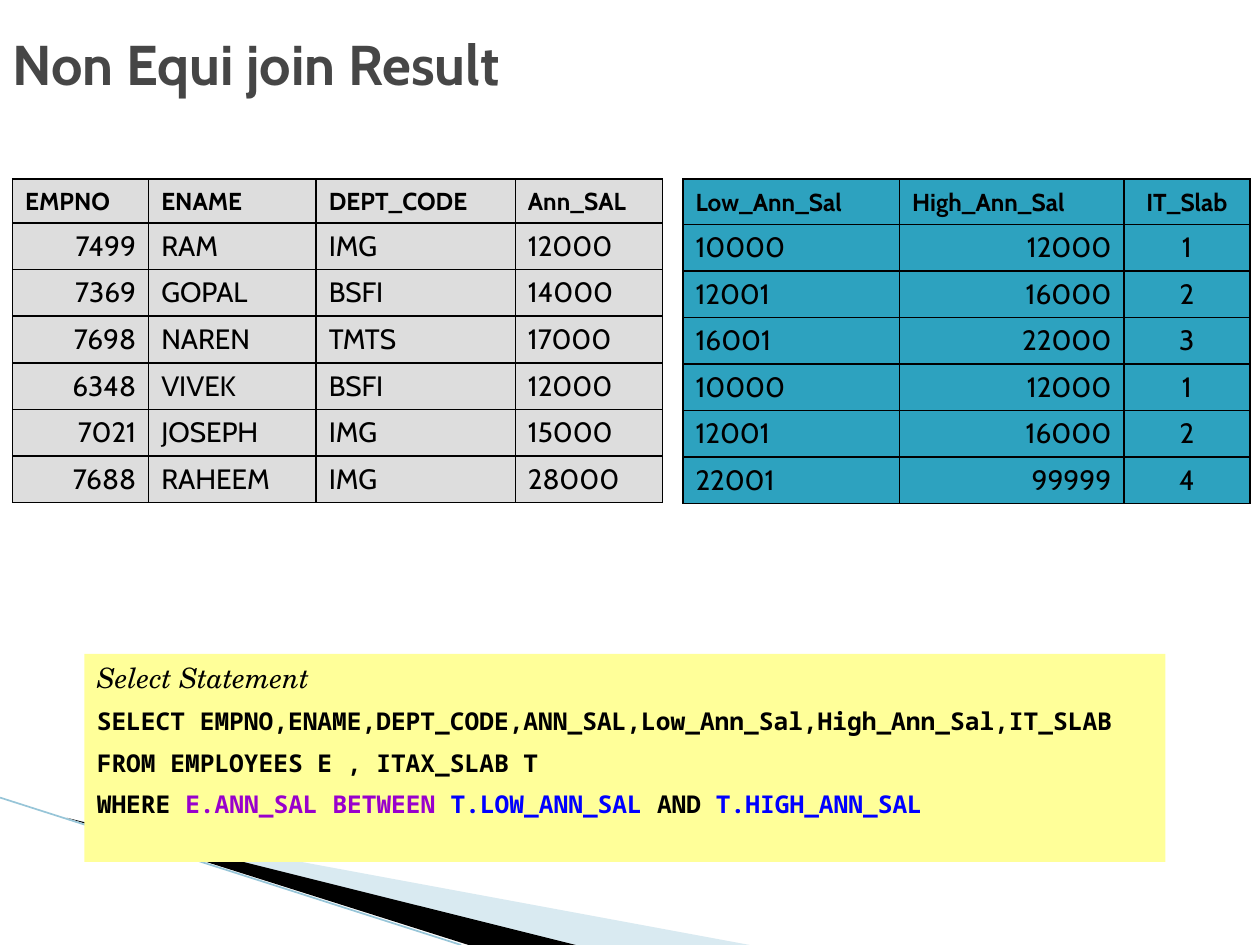
from dataclasses import dataclass

from lxml.etree import SubElement
from pptx import Presentation
from pptx.dml.color import RGBColor as Color
from pptx.enum.shapes import MSO_CONNECTOR as Connector
from pptx.enum.shapes import MSO_SHAPE as Shape
from pptx.enum.text import MSO_ANCHOR as Anchor
from pptx.enum.text import PP_ALIGN as Align
from pptx.oxml.ns import qn
from pptx.util import Inches, Pt


@dataclass(frozen=True)
class Theme:
    heading_font: str = "Cabin"
    code_font: str = "Noto Sans Mono"
    label_font: str = "TeX Gyre Schola"
    title_size: int = 32
    body_size: int = 16
    small_size: int = 14
    title: str = "464646"
    ink: str = "000000"
    employee_fill: str = "DDDDDD"
    slab_fill: str = "2DA2BF"
    code_fill: str = "FFFF99"
    employee_code: str = "9900CC"
    slab_code: str = "0000FF"
    pale_wedge: str = "A0CBDC"
    edge: str = "97C5D8"


THEME = Theme()


@dataclass(frozen=True)
class TextStyle:
    font: str
    size: int
    color: str = THEME.ink
    bold: bool = False
    italic: bool = False


@dataclass(frozen=True)
class Grid:
    left: float
    header_height: float
    widths: tuple[float, ...]
    fill: str
    aligns: tuple[Align, ...]
    header_aligns: tuple[Align, ...]
    rows: tuple[tuple[str, ...], ...]


@dataclass(frozen=True)
class Wedge:
    points: tuple[tuple[float, float], ...]
    color: str
    opacity: int = 100


TITLE = TextStyle(THEME.heading_font, THEME.title_size, THEME.title, bold=True)
HEADER = TextStyle(THEME.heading_font, THEME.small_size, bold=True)
BODY = TextStyle(THEME.heading_font, THEME.body_size)
LABEL = TextStyle(THEME.label_font, THEME.body_size, italic=True)
CODE = TextStyle(THEME.code_font, THEME.small_size, bold=True)
EMPLOYEE_CODE = TextStyle(THEME.code_font, THEME.small_size, THEME.employee_code, bold=True)
SLAB_CODE = TextStyle(THEME.code_font, THEME.small_size, THEME.slab_code, bold=True)

TABLE_TOP = 1.42
ROW_HEIGHT = 0.37
JUSTIFY, RIGHT, CENTER = Align.JUSTIFY, Align.RIGHT, Align.CENTER

SLABS = Grid(
    5.42, 0.36, (1.72, 1.78, 1), THEME.slab_fill,
    (JUSTIFY, RIGHT, CENTER), (JUSTIFY, JUSTIFY, CENTER),
    (
        ("Low_Ann_Sal", "High_Ann_Sal", "IT_Slab"),
        ("10000", "12000", "1"),
        ("12001", "16000", "2"),
        ("16001", "22000", "3"),
        ("10000", "12000", "1"),
        ("12001", "16000", "2"),
        ("22001", "99999", "4"),
    ),
)
EMPLOYEES = Grid(
    0.1, 0.35, (1.08, 1.33, 1.58, 1.17), THEME.employee_fill,
    (RIGHT, JUSTIFY, JUSTIFY, JUSTIFY), (JUSTIFY,) * 4,
    (
        ("EMPNO", "ENAME", "DEPT_CODE", "Ann_SAL"),
        ("7499", "RAM", "IMG", "12000"),
        ("7369", "GOPAL", "BSFI", "14000"),
        ("7698", "NAREN", "TMTS", "17000"),
        ("6348", "VIVEK", "BSFI", "12000"),
        ("7021", "JOSEPH", "IMG", "15000"),
        ("7688", "RAHEEM", "IMG", "28000"),
    ),
)
WEDGES = (
    Wedge(((0.55, 6.5), (5.95, 7.5), (4.56, 7.5)), THEME.pale_wedge, 40),
    Wedge(((0.53, 6.49), (4.57, 7.5), (3.72, 7.5)), THEME.ink),
)
STATEMENT = (
    (("Select Statement", LABEL),),
    (("SELECT EMPNO,ENAME,DEPT_CODE,ANN_SAL,Low_Ann_Sal,High_Ann_Sal,IT_SLAB", CODE),),
    (("FROM EMPLOYEES E , ITAX_SLAB T", CODE),),
    (
        ("WHERE ", CODE),
        ("E.ANN_SAL BETWEEN ", EMPLOYEE_CODE),
        ("T.LOW_ANN_SAL ", SLAB_CODE),
        ("AND", CODE),
        (" T.HIGH_ANN_SAL", SLAB_CODE),
    ),
)


def add_run(paragraph, text: str, style: TextStyle) -> None:
    run = paragraph.add_run()
    run.text = text
    font = run.font
    font.name, font.size = style.font, Pt(style.size)
    font.bold, font.italic = style.bold, style.italic
    font.color.rgb = Color.from_string(style.color)


def set_fill(target, color: str) -> None:
    target.fill.solid()
    target.fill.fore_color.rgb = Color.from_string(color)


def add_wedge(slide, wedge: Wedge) -> None:
    start, *others = [(Inches(x), Inches(y)) for x, y in wedge.points]
    builder = slide.shapes.build_freeform(*start)
    builder.add_line_segments(others, close=True)
    shape = builder.convert_to_shape()
    shape.shadow.inherit = False
    shape.line.fill.background()
    set_fill(shape, wedge.color)
    if wedge.opacity < 100:
        color = next(shape.element.spPr.iter(qn("a:srgbClr")))
        SubElement(color, qn("a:alpha"), val=str(wedge.opacity * 1000))


def add_edge(slide) -> None:
    line = slide.shapes.add_connector(
        Connector.STRAIGHT, Inches(0), Inches(6.33), Inches(3.66), Inches(7.5))
    line.line.color.rgb = Color.from_string(THEME.edge)
    line.line.width = Pt(0.95)
    SubElement(line.element.spPr, qn("a:effectLst"))


def add_title(slide) -> None:
    box = slide.shapes.add_textbox(Inches(0), Inches(0), Inches(8.27), Inches(1))
    frame = box.text_frame
    frame.word_wrap = True
    frame.vertical_anchor = Anchor.MIDDLE
    add_run(frame.paragraphs[0], "Non Equi join Result", TITLE)


def set_borders(cell) -> None:
    properties = cell._tc.get_or_add_tcPr()
    for position, side in enumerate(("a:lnL", "a:lnR", "a:lnT", "a:lnB")):
        border = SubElement(properties, qn(side), w=str(Pt(1)))
        properties.insert(position, border)
        fill = SubElement(border, qn("a:solidFill"))
        SubElement(fill, qn("a:srgbClr"), val=THEME.ink)


def add_grid(slide, grid: Grid) -> None:
    heights = [grid.header_height] + [ROW_HEIGHT] * (len(grid.rows) - 1)
    table = slide.shapes.add_table(
        len(grid.rows), len(grid.widths), Inches(grid.left), Inches(TABLE_TOP),
        Inches(sum(grid.widths)), Inches(sum(heights))).table
    table.first_row = table.horz_banding = False
    for column, width in zip(table.columns, grid.widths):
        column.width = Inches(width)
    for index, (row, height, texts) in enumerate(zip(table.rows, heights, grid.rows)):
        row.height = Inches(height)
        style = BODY if index else HEADER
        aligns = grid.aligns if index else grid.header_aligns
        for cell, text, align in zip(row.cells, texts, aligns):
            set_fill(cell, grid.fill)
            set_borders(cell)
            cell.vertical_anchor = Anchor.BOTTOM
            paragraph = cell.text_frame.paragraphs[0]
            paragraph.alignment = align
            add_run(paragraph, text, style)


def add_statement(slide) -> None:
    shape = slide.shapes.add_shape(
        Shape.RECTANGLE, Inches(0.67), Inches(5.19), Inches(8.58), Inches(1.65))
    shape.shadow.inherit = False
    shape.line.fill.background()
    set_fill(shape, THEME.code_fill)
    frame = shape.text_frame
    frame.word_wrap = True
    frame.vertical_anchor = Anchor.TOP
    for index, runs in enumerate(STATEMENT):
        paragraph = frame.add_paragraph() if index else frame.paragraphs[0]
        paragraph.alignment = Align.LEFT
        spacing = SubElement(paragraph._p.get_or_add_pPr(), qn("a:spcBef"))
        SubElement(spacing, qn("a:spcPct"), val="50000")
        for text, style in runs:
            add_run(paragraph, text, style)


def main() -> None:
    presentation = Presentation()
    presentation.slide_width, presentation.slide_height = Inches(10), Inches(7.5)
    slide = presentation.slides.add_slide(presentation.slide_layouts[6])
    for wedge in WEDGES:
        add_wedge(slide, wedge)
    add_edge(slide)
    add_title(slide)
    for grid in (SLABS, EMPLOYEES):
        add_grid(slide, grid)
    add_statement(slide)
    presentation.save("out.pptx")


if __name__ == "__main__":
    main()
